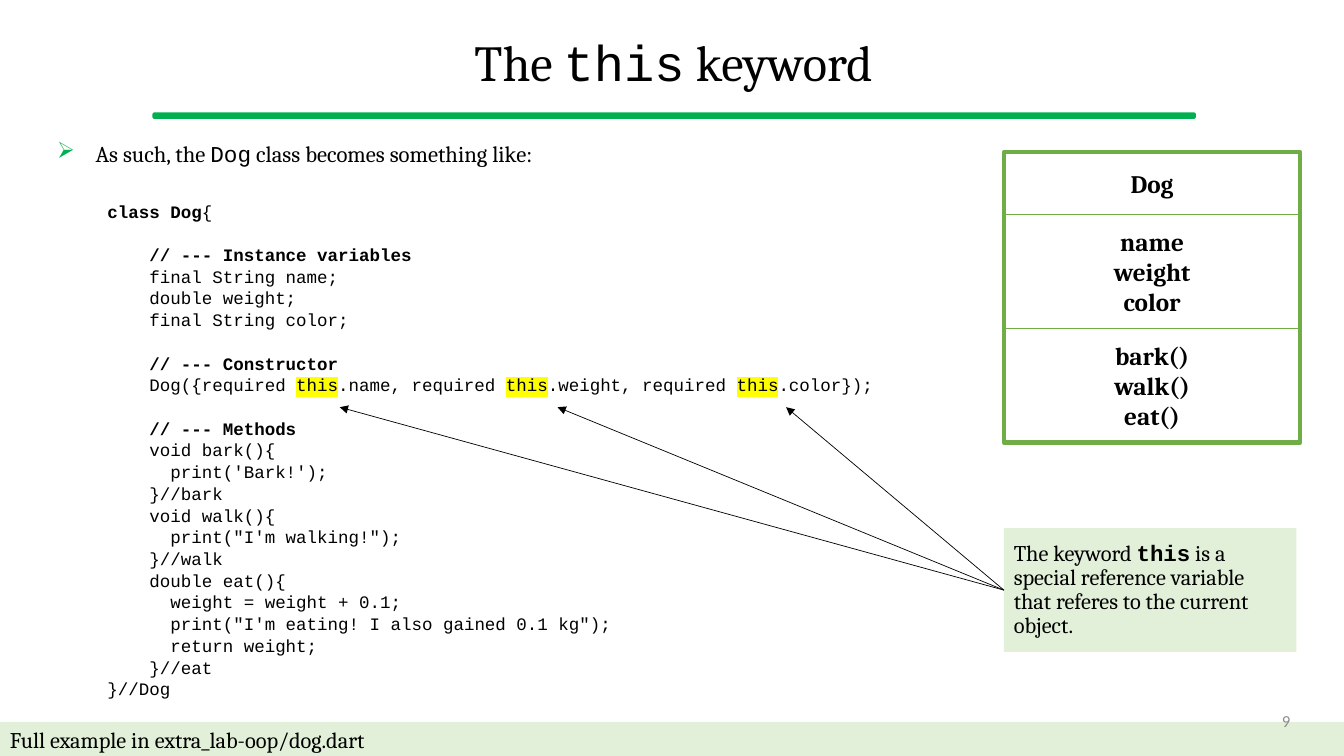
from lxml import etree
from pptx import Presentation
from pptx.dml.color import RGBColor
from pptx.enum.shapes import MSO_CONNECTOR, MSO_SHAPE
from pptx.enum.text import MSO_ANCHOR, PP_ALIGN
from pptx.oxml.ns import qn
from pptx.util import Cm, Pt

RECT, ROUND = MSO_SHAPE.RECTANGLE, MSO_SHAPE.ROUNDED_RECTANGLE
LEFT, CENTER, RIGHT = PP_ALIGN.LEFT, PP_ALIGN.CENTER, PP_ALIGN.RIGHT
MIDDLE, TOP = MSO_ANCHOR.MIDDLE, MSO_ANCHOR.TOP
STRAIGHT = MSO_CONNECTOR.STRAIGHT

BLACK, WHITE, GREY = "000000", "FFFFFF", "8C8C8C"
GREEN, LEAF, MINT, YELLOW = "00B050", "70AD47", "E2F0D9", "FFFF00"
SERIF, MONO = "Cambria", "Courier New"
CODE_LEADING = 15.5

# Asterisks enclose the emphasised part of a line.
CODE = """*class Dog*{

    *// --- Instance variables*
    final String name;
    double weight;
    final String color;

    *// --- Constructor*
    Dog({required *this*.name, required *this*.weight, required *this*.color});

    *// --- Methods*
    void bark(){
      print('Bark!');
    }//bark
    void walk(){
      print("I'm walking!");
    }//walk
    double eat(){
      weight = weight + 0.1;
      print("I'm eating! I also gained 0.1 kg");
      return weight;
    }//eat
}//Dog"""


def rgb(color):
    return RGBColor.from_string(color)


def highlight(r, color):
    mark = etree.Element(qn("a:highlight"))
    etree.SubElement(mark, qn("a:srgbClr"), val=color)
    r._r.rPr.find(qn("a:latin")).addprevious(mark)


def write(p, text, size, emphasis=None, name=SERIF, color=BLACK, bold=False):
    """Fill a paragraph; parts between asterisks take the emphasis format."""
    base = {"size": Pt(size), "name": name, "bold": bold}
    for i, part in enumerate(text.split("*")):
        if not part:
            continue
        r = p.add_run()
        r.text = part
        r.font.color.rgb = rgb(color)
        fmt = {**base, **(emphasis or {})} if i % 2 else base
        for key, value in fmt.items():
            setattr(r.font, key, value)


def set_frame(sp, anchor):
    tf = sp.text_frame
    tf.word_wrap = True
    tf.vertical_anchor = anchor
    return tf


def add_text_box(s, box, anchor=MIDDLE):
    return set_frame(s.shapes.add_textbox(*map(Cm, box)), anchor)


def add_box(s, box, fill=None, line=None, width=1, kind=RECT):
    sp = s.shapes.add_shape(kind, *map(Cm, box))
    sp.shadow.inherit = False
    if fill:
        sp.fill.solid()
        sp.fill.fore_color.rgb = rgb(fill)
    else:
        sp.fill.background()
    if line:
        sp.line.color.rgb = rgb(line)
        sp.line.width = Pt(width)
    else:
        sp.line.fill.background()
    return sp


def add_title(s, box):
    left, top, width, height = box
    rule = add_box(s, (left + 2.67, top + height, width - 5.31, 0.13), GREEN, GREEN, kind=ROUND)
    rule.adjustments[0] = 0.26
    p = add_text_box(s, box).paragraphs[0]
    p.alignment, p.line_spacing = CENTER, 0.9
    write(p, "The *this* keyword", 36, {"name": MONO})


def add_class_card(s, box):
    """Draw a class diagram: name, variables and methods in stacked cells."""
    left, top, width, height = box
    line_height, padding = 0.65, 0.92
    y = top
    for members in (["Dog"], ["name", "weight", "color"], ["bark()", "walk()", "eat()"]):
        cell_height = line_height * len(members) + padding
        tf = set_frame(add_box(s, (left, y, width, cell_height), WHITE, LEAF), MIDDLE)
        for i, member in enumerate(members):
            p = tf.add_paragraph() if i else tf.paragraphs[0]
            p.alignment = CENTER
            write(p, member, 18, bold=True)
        y += cell_height
    add_box(s, box, line=LEAF, width=3)


def add_note(s, box, text):
    sp = add_box(s, box, MINT)
    p = set_frame(sp, MIDDLE).paragraphs[0]
    p.alignment, p.line_spacing = LEFT, 0.9
    write(p, text, 16, {"name": MONO, "bold": True})
    return sp


def add_arrow(s, note, tip):
    cx = s.shapes.add_connector(STRAIGHT, 0, 0, *map(Cm, tip))
    cx.begin_connect(note, 1)
    cx.line.color.rgb = rgb(BLACK)
    cx.line.width = Pt(0.5)
    etree.SubElement(cx.line._get_or_add_ln(), qn("a:tailEnd"), type="triangle")
    etree.SubElement(cx._element.spPr, qn("a:effectLst"))


def add_page_number(s, box, number):
    p = add_text_box(s, box).paragraphs[0]
    p.alignment = RIGHT
    write(p, number, 12, name="Calibri", color=GREY)


def add_bullet(p, indent):
    pPr = p._p.get_or_add_pPr()
    pPr.set("marL", str(Cm(indent)))
    pPr.set("indent", str(-Cm(indent)))
    color = etree.SubElement(pPr, qn("a:buClr"))
    etree.SubElement(color, qn("a:srgbClr"), val=GREEN)
    etree.SubElement(pPr, qn("a:buChar"), char="➢")


def add_listing(s, box):
    """Place the bulleted lead-in and the code below it."""
    tf = add_text_box(s, box, TOP)
    p = tf.paragraphs[0]
    add_bullet(p, 0.97)
    p.line_spacing = Pt(18)
    write(p, "As such, the *Dog* class becomes something like:", 16.2, {"name": MONO})
    gap = 23.5
    for line in CODE.split("\n"):
        if not line:
            gap = CODE_LEADING
            continue
        p = tf.add_paragraph()
        p._p.get_or_add_pPr().set("marL", str(Cm(1.27)))
        p.line_spacing, p.space_before = Pt(CODE_LEADING), Pt(gap)
        gap = 0
        write(p, line, 12.5, {"bold": "*this*" not in line}, MONO)
        for r in p.runs:
            if r.text == "this":
                highlight(r, YELLOW)


def main():
    prs = Presentation()
    prs.slide_width, prs.slide_height = Cm(33.87), Cm(19.05)
    s = prs.slides.add_slide(prs.slide_layouts[6])
    add_title(s, (1.19, 0.46, 31.57, 2.39))
    add_class_card(s, (25.3, 3.84, 7.47, 7.31))
    note = add_note(s, (25.3, 13.31, 7.37, 3.12),
                    "The keyword *this* is a special reference variable "
                    "that referes to the current object.")
    add_note(s, (0, 18.19, 33.87, 0.99), "Full example in extra_lab-oop/dog.dart")
    for x in (14.05, 8.56, 19.81):
        add_arrow(s, note, (x, 10.26))
    add_page_number(s, (23.93, 17.65, 8.84, 1.02), "9")
    add_listing(s, (1.19, 3.45, 24.49, 14.8))
    prs.save("out.pptx")


if __name__ == "__main__":
    main()
